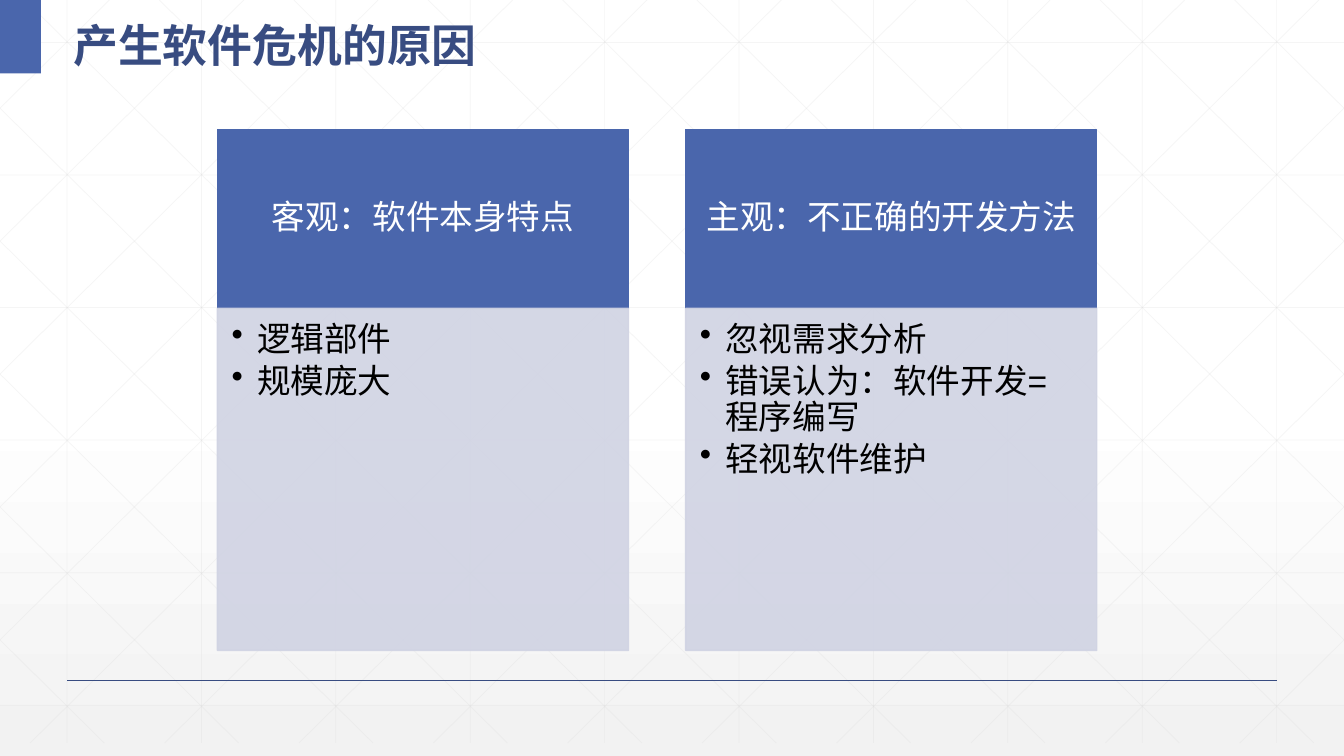
import copy

import pptx
import pptx.dml.color
import pptx.enum.shapes
import pptx.enum.text
import pptx.oxml
import pptx.oxml.ns
import pptx.util
from pptx.util import Cm

COLORS = {
    "blue": "4A66AC", "navy": "384C81", "pale": "D0D3E3", "grid": "D9D9D9",
    "white": "FFFFFF", "mist": "F2F2F2", "black": "000000",
}
CJK_FONT = "Noto Sans CJK SC"
PAGE_WIDTH, PAGE_HEIGHT = 33.87, 19.05
qn = pptx.oxml.ns.qn


def rgb(name):
    return pptx.dml.color.RGBColor.from_string(COLORS[name])


def write_text(box, lines, size=24, color="black", font="Arial", bold=False,
               align="LEFT", anchor="TOP", spacing=0.9, after=0, bullet=False,
               insets=(0.25, 0.13, 0.25, 0.13)):
    frame = box.text_frame
    frame.word_wrap = True
    frame.vertical_anchor = pptx.enum.text.MSO_ANCHOR[anchor]
    frame.margin_left, frame.margin_top, frame.margin_right, frame.margin_bottom = map(Cm, insets)
    frame.text = "\n".join(lines)
    for para in frame.paragraphs:
        para.alignment = pptx.enum.text.PP_ALIGN[align]
        para.line_spacing = spacing
        para.space_after = pptx.util.Pt(after)
        if bullet:
            properties = para._p.get_or_add_pPr()
            properties.set("marL", str(Cm(0.64)))
            properties.set("indent", str(-Cm(0.64)))
            properties.append(properties.makeelement(qn("a:buChar"), {"char": "•"}))
        for span in para.runs:
            span.font.size = pptx.util.Pt(size)
            span.font.bold = bold
            span.font.color.rgb = rgb(color)
            span.font.name = font
            east_asian = span.font._element.makeelement(qn("a:ea"), {"typeface": CJK_FONT})
            span.font._element.append(east_asian)


deck = pptx.Presentation()
deck.slide_width, deck.slide_height = Cm(PAGE_WIDTH), Cm(PAGE_HEIGHT)
page = deck.slides.add_slide(deck.slide_layouts[6])

backdrop = page.background.fill
backdrop.gradient()
backdrop.gradient_angle = 270
stop_list = next(page._element.iter(qn("a:gsLst")))
stop_list.insert(1, copy.deepcopy(stop_list[0]))
for stop, (position, name) in zip(backdrop.gradient_stops, [(0, "white"), (0.53, "white"), (1, "mist")]):
    stop.position = position
    stop.color.rgb = rgb(name)

STEP = PAGE_WIDTH / 10
GRID_BOTTOM = 18.72
RUN = 18.93
SLOPE = GRID_BOTTOM / RUN
grid = [(1.69 + STEP * i, 0, 1.69 + STEP * i, GRID_BOTTOM) for i in range(10)]
grid += [(0, 1.07 + 3.34 * i, PAGE_WIDTH, 1.07 + 3.34 * i) for i in range(6)]
for i in range(-5, 10):
    start = 0.63 + STEP * i
    left, right = max(start, 0), min(start + RUN, PAGE_WIDTH)
    top, bottom = (left - start) * SLOPE, (right - start) * SLOPE
    grid.append((left, top, right, bottom))
    grid.append((PAGE_WIDTH - left, top, PAGE_WIDTH - right, bottom))

rules = [(ends, "grid", 0.5, 25) for ends in grid]
rules.append(((1.69, 17.15, 32.18, 17.15), "navy", 1, 100))
for ends, color, width, opacity in rules:
    rule = page.shapes.add_connector(pptx.enum.shapes.MSO_CONNECTOR.STRAIGHT, *map(Cm, ends))
    rule.line.width = pptx.util.Pt(width)
    rule.line.color.rgb = rgb(color)
    properties = rule._element.spPr
    properties.append(properties.makeelement(qn("a:effectLst"), {}))
    if opacity < 100:
        tint = next(properties.iter(qn("a:srgbClr")))
        tint.append(tint.makeelement(qn("a:alpha"), {"val": str(opacity * 1000)}))

title = page.shapes.add_textbox(Cm(1.6), 0, Cm(14.45), Cm(1.85))
write_text(title, ["产生软件危机的原因"], size=32, color="navy", font=CJK_FONT,
           bold=True, anchor="MIDDLE", spacing=1.3)

HEAD = dict(color="white", align="CENTER", anchor="MIDDLE", insets=(0.47, 0.27, 0.47, 0.27))
BODY = dict(bullet=True, after=4, insets=(0.36, 0.36, 0.47, 0.53))
panels = [((0, 0, 1.03, 1.85), "blue", 100, [], {})]
causes = [
    ("客观：软件本身特点", ["逻辑部件", "规模庞大"]),
    ("主观：不正确的开发方法", ["忽视需求分析", "错误认为：软件开发=程序编写", "轻视软件维护"]),
]
for column, (heading, points) in enumerate(causes):
    left = 5.48 + 11.8 * column
    panels.append(((left, 3.27, 10.36, 4.5), "blue", 100, [heading], HEAD))
    panels.append(((left, 7.77, 10.36, 8.62), "pale", 90, points, BODY))

for place, color, opacity, lines, text_format in panels:
    panel = page.shapes.add_shape(pptx.enum.shapes.MSO_SHAPE.RECTANGLE, *map(Cm, place))
    panel.shadow.inherit = False
    panel.fill.solid()
    panel.fill.fore_color.rgb = rgb(color)
    if lines:
        panel.line.color.rgb = rgb(color)
        panel.line.width = pptx.util.Pt(1)
        write_text(panel, lines, **text_format)
    else:
        panel.line.fill.background()
    if opacity < 100:
        for tint in panel._element.spPr.iter(qn("a:srgbClr")):
            tint.append(tint.makeelement(qn("a:alpha"), {"val": str(opacity * 1000)}))

deck.save("out.pptx")
